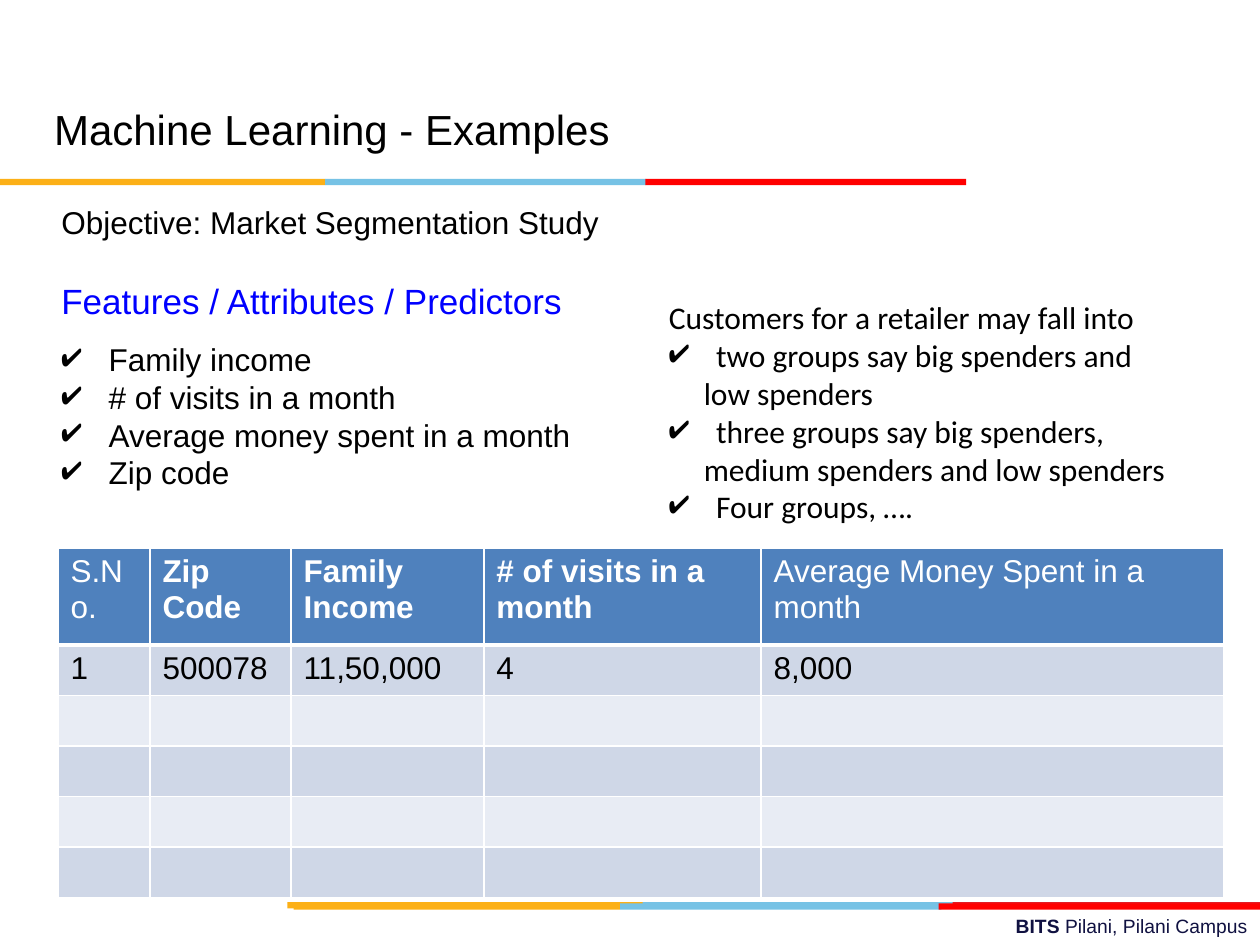
from lxml import etree
from pptx import Presentation
from pptx.dml.color import RGBColor
from pptx.enum.shapes import MSO_SHAPE
from pptx.enum.text import MSO_ANCHOR, PP_ALIGN
from pptx.oxml.ns import qn
from pptx.util import Pt

RECTANGLE = MSO_SHAPE.RECTANGLE
TOP, MIDDLE = MSO_ANCHOR.TOP, MSO_ANCHOR.MIDDLE
LEFT, RIGHT = PP_ALIGN.LEFT, PP_ALIGN.RIGHT

COLORS = {
    "black": "000000", "white": "FFFFFF", "navy": "101141", "blue": "0000FF",
    "amber": "FCB017", "sky": "76C2E5", "red": "FF0000", "crimson": "E31C24",
    "header": "4F81BD", "band_dark": "CFD7E7", "band_light": "E8ECF4",
}
BULLET_INDENT = 27
CONTINUED_INDENT = 20

FEATURES = ["Family income", "# of visits in a month",
            "Average money spent in a month", "Zip code"]
GROUPS = [
    ("Customers for a retailer may fall into", "plain"),
    ("two groups say big spenders and", "bullet"),
    ("low spenders", "continued"),
    ("three groups say big spenders,", "bullet"),
    ("medium spenders and low spenders", "continued"),
    ("Four groups, ….", "bullet"),
]
# Heading, bold, column width, first value
COLUMNS = [
    ("S.No.", False, 52.6, "1"),
    ("Zip Code", True, 80.6, "500078"),
    ("Family Income", True, 110.2, "11,50,000"),
    ("# of visits in a month", True, 158.4, "4"),
    ("Average Money Spent in a month", False, 264.2, "8,000"),
]
ROW_HEIGHTS = [55.4] + [28.8] * 5


def rgb(name):
    return RGBColor.from_string(COLORS[name])


def add_span(para, text, size, color="black", font="Arial", bold=False):
    span = para.add_run()
    span.text = text
    span.font.name = font
    span.font.size = Pt(size)
    span.font.bold = bold
    span.font.color.rgb = rgb(color)


def set_indent(para, kind):
    props = para._p.get_or_add_pPr()
    if kind == "bullet":
        props.set("marL", str(Pt(BULLET_INDENT)))
        props.set("indent", str(-Pt(BULLET_INDENT)))
        color = etree.SubElement(props, qn("a:buClr"))
        etree.SubElement(color, qn("a:srgbClr"), val=COLORS["black"])
        etree.SubElement(props, qn("a:buChar"), char="✔")
    elif kind == "continued":
        props.set("marL", str(Pt(CONTINUED_INDENT)))
        props.set("indent", "0")


def add_text(page, box, lines, size, align=LEFT, anchor=TOP):
    """Each line is a list of (text, style) spans and an indent kind."""
    frame = page.shapes.add_textbox(*map(Pt, box)).text_frame
    frame.word_wrap = True
    frame.vertical_anchor = anchor
    for index, (spans, kind) in enumerate(lines):
        para = frame.add_paragraph() if index else frame.paragraphs[0]
        para.alignment = align
        set_indent(para, kind)
        for text, style in spans:
            add_span(para, text, size, **style)


def add_color_bar(page, box, segments):
    """Stripes of (offset, width, colour) within the box."""
    left, top, height = box
    for offset, width, color in segments:
        stripe = page.shapes.add_shape(
            RECTANGLE, Pt(left + offset), Pt(top), Pt(width), Pt(height))
        stripe.shadow.inherit = False
        stripe.fill.solid()
        stripe.fill.fore_color.rgb = rgb(color)
        stripe.line.fill.background()


def add_header(page, box):
    left, top, width, height = box
    add_text(page, box, [([("Machine Learning - Examples", {})], "plain")],
             24, anchor=MIDDLE)
    add_color_bar(page, (0, top + 62.6, 3.6), [
        (0, 185.8, "amber"), (185.8, 183.4, "sky"), (368.8, 183.4, "red")])


def add_footer(page, box):
    left, top, width, height = box
    add_color_bar(page, (left, top, 3.6), [
        (200.2, 183.6, "sky"), (380.2, 175.7, "crimson"), (0, 203, "amber")])
    add_color_bar(page, (left, top + 0.7, 3.6), [
        (190.1, 183.6, "sky"), (3.6, 186.5, "amber"), (372.2, 183.6, "red")])
    navy = {"color": "navy"}
    add_text(page, (left + 93.6, top + 3.6, width - 93.6, height - 3.6), [
        ([("BITS ", {**navy, "bold": True}),
          ("Pilani, Pilani Campus", navy)], "plain")], 11, align=RIGHT)


def add_features(page, box):
    left, top, width, height = box
    add_text(page, (left, top, width, 31.7), [
        ([("Features / Attributes / Predictors", {"color": "blue"})], "plain")], 20)
    add_text(page, (left, top + 34.6, width, height - 34.6),
             [([(text, {})], "bullet") for text in FEATURES], 18)


def add_groups(page, box):
    add_text(page, box, [([(text, {"font": "Calibri"})], kind)
                         for text, kind in GROUPS], 18)


def set_borders(cell, bottom):
    props = cell._tc.get_or_add_tcPr()
    for side, width in (("L", 1), ("R", 1), ("T", 1), ("B", bottom)):
        line = etree.SubElement(props, qn("a:ln" + side), w=str(Pt(width)))
        fill = etree.SubElement(line, qn("a:solidFill"))
        etree.SubElement(fill, qn("a:srgbClr"), val=COLORS["white"])


def add_customer_table(page, box):
    table = page.shapes.add_table(
        len(ROW_HEIGHTS), len(COLUMNS), *map(Pt, box)).table
    table.first_row = table.horz_banding = False
    for row, height in enumerate(ROW_HEIGHTS):
        table.rows[row].height = Pt(height)
        for col, (heading, bold, width, value) in enumerate(COLUMNS):
            table.columns[col].width = Pt(width)
            cell = table.cell(row, col)
            set_borders(cell, 1 if row else 3)
            cell.fill.solid()
            band = "band_dark" if row % 2 else "band_light"
            cell.fill.fore_color.rgb = rgb(band if row else "header")
            para = cell.text_frame.paragraphs[0]
            if row == 0:
                add_span(para, heading, 18, "white", bold=bold)
            elif row == 1:
                add_span(para, value, 18)


def main():
    deck = Presentation()
    deck.slide_width, deck.slide_height = Pt(720), Pt(540)
    page = deck.slides.add_slide(deck.slide_layouts[6])
    add_footer(page, (164.2, 515.5, 555.8, 24.5))
    add_header(page, (23.8, 39.6, 648, 68.4))
    add_text(page, (28, 112.3, 462.2, 28.8), [
        ([("Objective: Market Segmentation Study", {})], "plain")], 18)
    add_features(page, (28, 156.2, 343.4, 129))
    add_customer_table(page, (33.1, 313.2, 666, 199.4))
    add_groups(page, (375.1, 167, 336.2, 138.2))
    deck.save("out.pptx")


if __name__ == "__main__":
    main()
